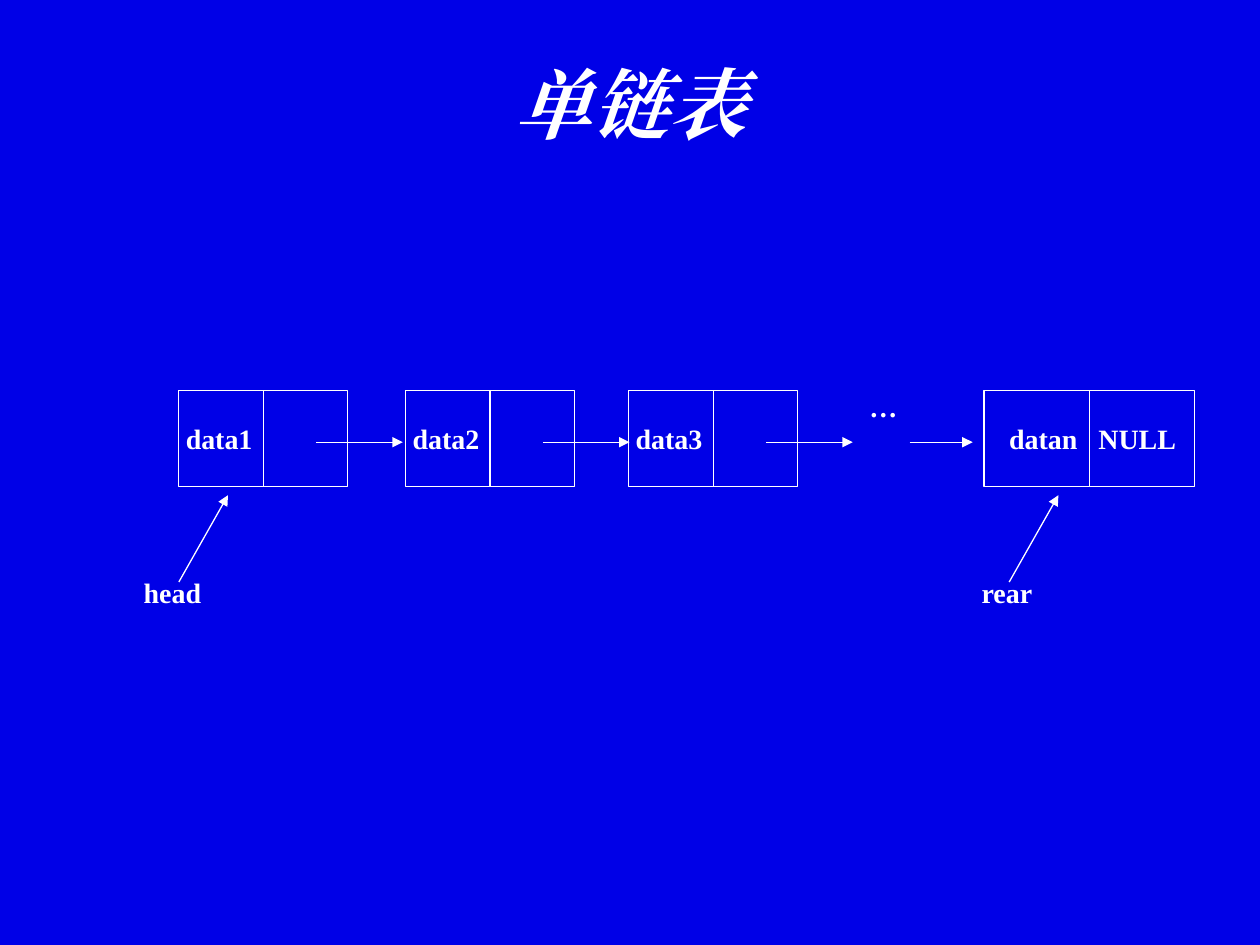
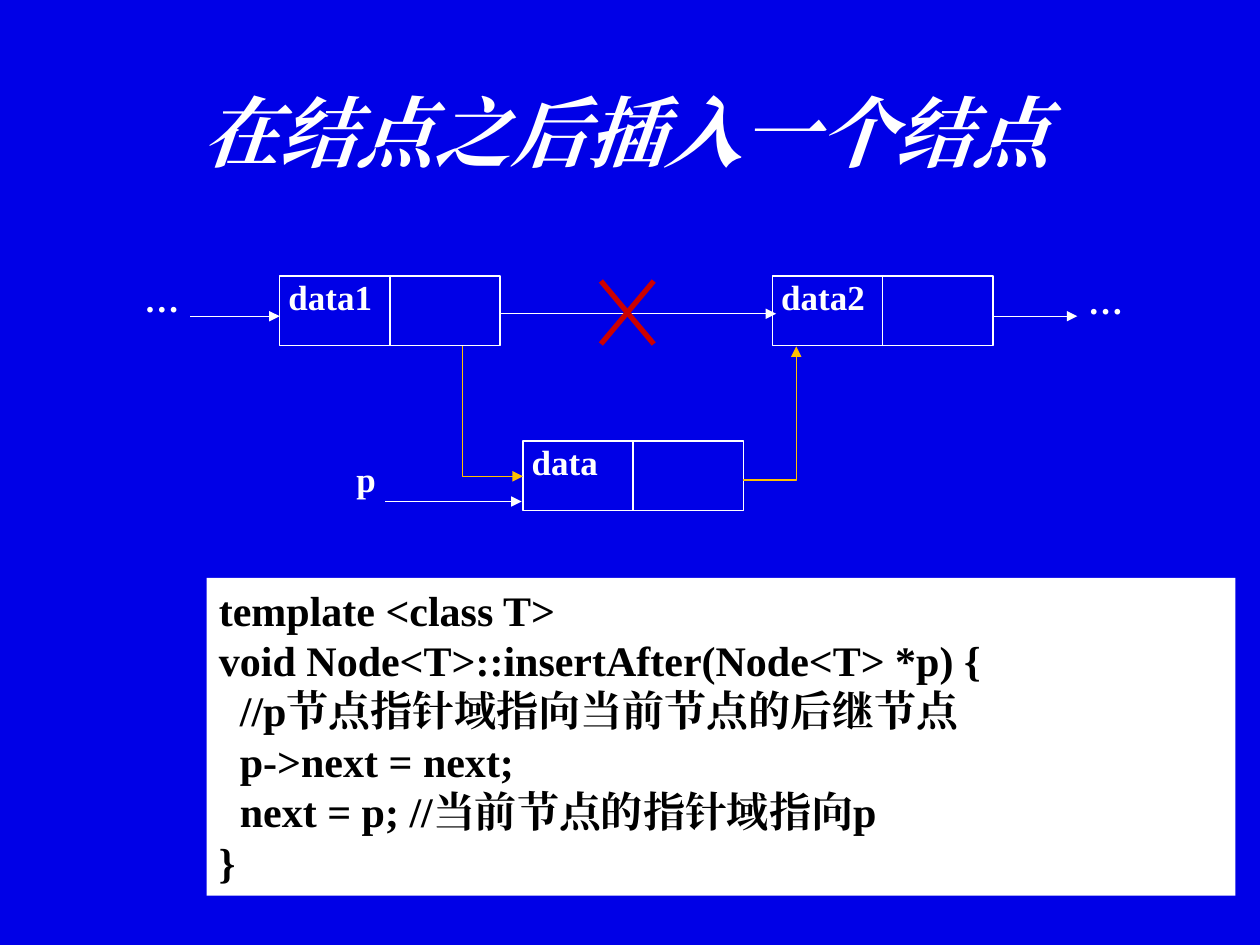
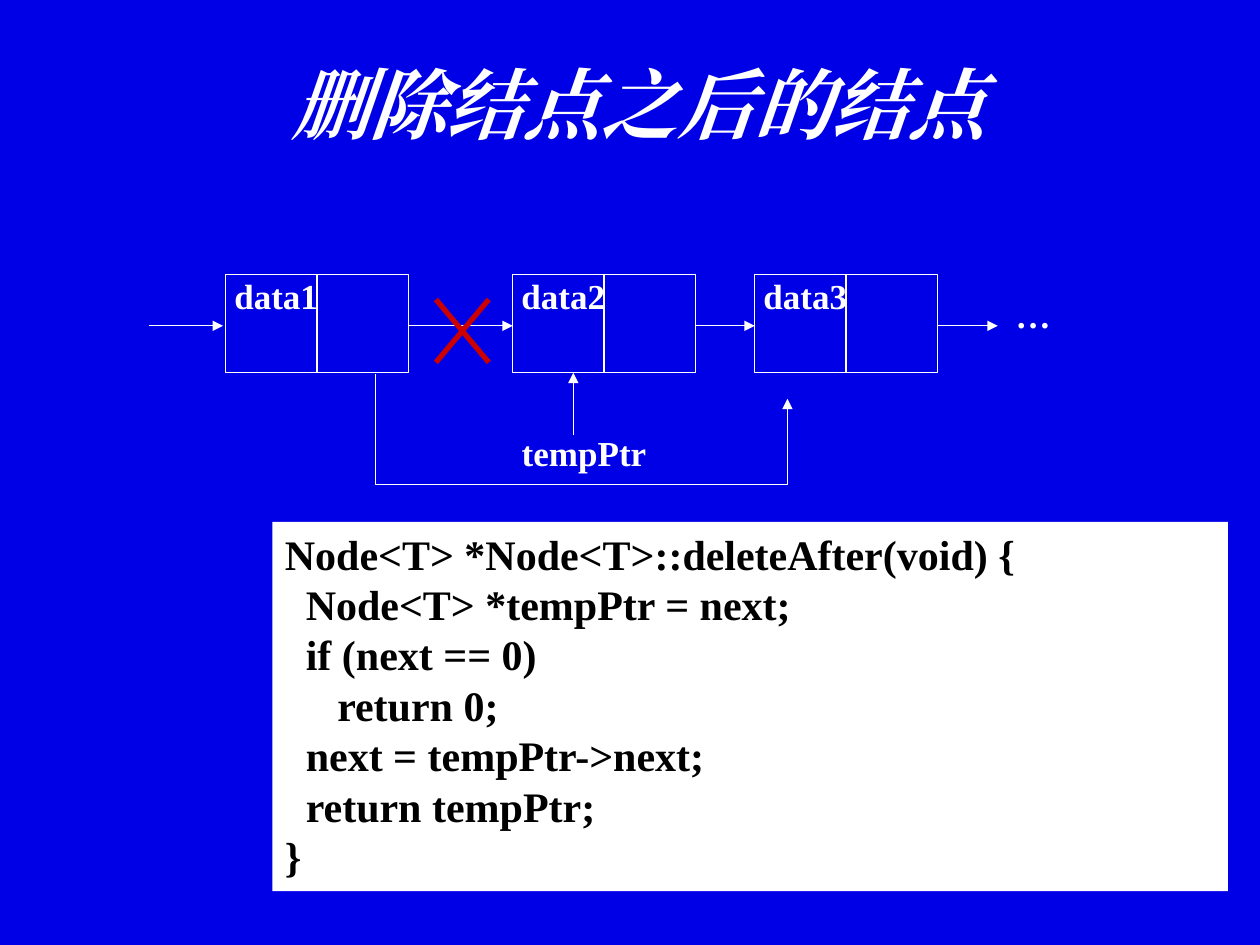
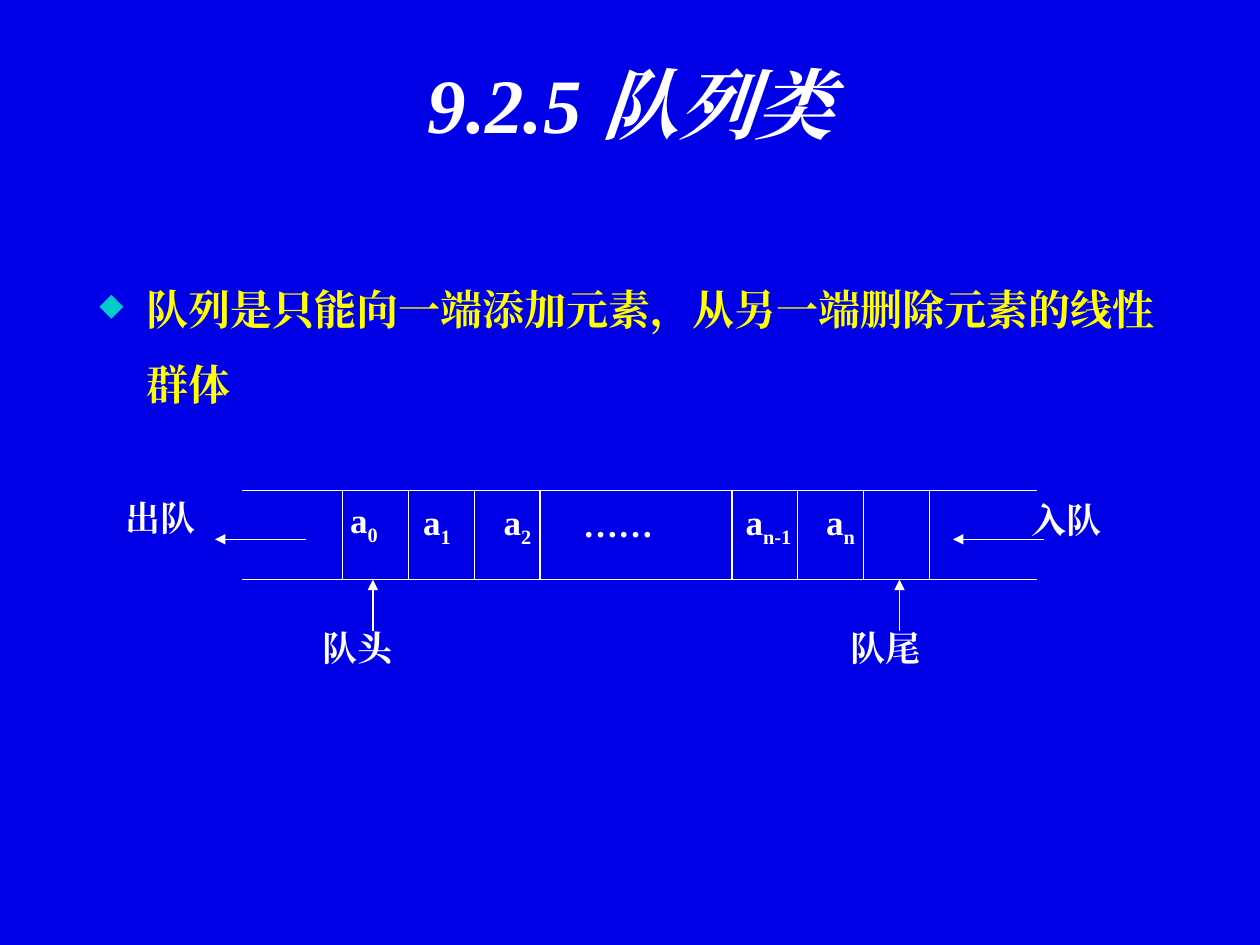
"""Builds four slides on linked lists and queues."""
import dataclasses

import lxml.etree
import pptx
import pptx.dml.color
import pptx.enum.shapes
import pptx.enum.text
import pptx.oxml.ns
import pptx.util

Pt = pptx.util.Pt
ALIGN = pptx.enum.text.PP_ALIGN
ANCHOR = pptx.enum.text.MSO_ANCHOR
QN = pptx.oxml.ns.qn


@dataclasses.dataclass(frozen=True)
class Theme:
    """Colours, typeface, type sizes and line widths of the deck."""
    background: str = "0000E7"
    ink: str = "FFFFFF"
    code_ink: str = "000000"
    body_ink: str = "FFFF00"
    bullet: str = "00CCCC"
    new_link: str = "FFC000"
    cross: str = "CC0000"
    font: str = "Times New Roman"
    title_size: float = 44
    body_size: float = 24
    label_size: float = 20
    small_size: float = 16
    thin: float = 0.75
    thick: float = 3
    subscript: int = -25000


THEME = Theme()


@dataclasses.dataclass(frozen=True)
class Box:
    """A region in points."""
    left: float
    top: float
    width: float
    height: float

    def inside(self, left, top, width, height):
        """Return a box placed from this box's top left corner."""
        return Box(self.left + left, self.top + top, width, height)

    def point(self, x, y):
        """Return a slide position for a point within this box."""
        return Pt(self.left + x), Pt(self.top + y)

    def lengths(self):
        """Return left, top, width and height as slide lengths."""
        return [Pt(value) for value in dataclasses.astuple(self)]


TITLE_BOX = Box(49.7, 28.8, 620.6, 104.4)
NO_INSET = (0, 0, 0, 0)
TEXT_INSET = (7.2, 3.6, 7.2, 3.6)


def colour(value):
    """Return a colour object for a hex value."""
    return pptx.dml.color.RGBColor.from_string(value)


def apply_format(target, values):
    """Set each attribute named in values."""
    for name, value in values.items():
        setattr(target, name, value)


def add_xml(parent, tag, **attributes):
    """Append a drawing element with the attributes given."""
    return lxml.etree.SubElement(parent, QN(tag), attributes)


def write(shape, lines, size=THEME.label_size, ink=THEME.ink, align=ALIGN.LEFT,
          anchor=ANCHOR.TOP, inset=TEXT_INSET, tab=None, italic=False):
    """Fill a shape with lines, each a string or a list of (text, baseline)."""
    frame = shape.text_frame
    sides = ("margin_left", "margin_top", "margin_right", "margin_bottom")
    apply_format(frame, {"word_wrap": True, "vertical_anchor": anchor,
                         **{side: Pt(value) for side, value in zip(sides, inset)}})
    for index, line in enumerate(lines):
        paragraph = frame.paragraphs[0] if index == 0 else frame.add_paragraph()
        paragraph.alignment = align
        if tab:
            stops = add_xml(paragraph._p.get_or_add_pPr(), "a:tabLst")
            add_xml(stops, "a:tab", pos=str(Pt(tab)), algn="l")
        for text, baseline in [(line, 0)] if isinstance(line, str) else line:
            run = paragraph.add_run()
            run.text = text
            apply_format(run.font, {"name": THEME.font, "size": Pt(size),
                                    "bold": True, "italic": italic})
            run.font.color.rgb = colour(ink)
            properties = run._r.get_or_add_rPr()
            add_xml(properties, "a:ea", typeface=THEME.font)
            if baseline:
                properties.set("baseline", str(baseline))


def add_text(slide, box, lines, **formats):
    """Add a text box and return it."""
    shape = slide.shapes.add_textbox(*box.lengths())
    write(shape, lines, **formats)
    return shape


def style_line(shape, ink, width, arrow):
    """Set colour, width and arrowhead of a line."""
    shape.line.color.rgb = colour(ink)
    shape.line.width = Pt(width)
    if arrow:
        add_xml(shape.line._get_or_add_ln(), "a:tailEnd", type="triangle")


def add_line(slide, box, start, end, ink=THEME.ink, width=THEME.thin, arrow=False):
    """Add a straight line between two points of the box."""
    line = slide.shapes.add_connector(
        pptx.enum.shapes.MSO_CONNECTOR.STRAIGHT, *box.point(*start), *box.point(*end))
    style_line(line, ink, width, arrow)
    add_xml(line._element.spPr, "a:effectLst")


def add_arrow(slide, box, start, end):
    """Add a straight arrow between two points of the box."""
    add_line(slide, box, start, end, arrow=True)


def add_elbow(slide, box, points, ink=THEME.ink):
    """Add a bent arrow through points of the box."""
    first, *others = [box.point(*point) for point in points]
    builder = slide.shapes.build_freeform(*first)
    builder.add_line_segments(others, close=False)
    shape = builder.convert_to_shape()
    shape.shadow.inherit = False
    shape.fill.background()
    style_line(shape, ink, THEME.thin, True)


def add_rectangle(slide, box):
    """Add a rectangle without a shadow and return it."""
    shape = slide.shapes.add_shape(
        pptx.enum.shapes.MSO_SHAPE.RECTANGLE, *box.lengths())
    shape.shadow.inherit = False
    return shape


def add_node(slide, box, label, indent=5, **formats):
    """Add a list node split into a data field and a pointer field."""
    shape = add_rectangle(slide, box)
    shape.fill.background()
    style_line(shape, THEME.ink, THEME.thin, False)
    write(shape, [label], inset=(indent, 0, 0, 0), **formats)
    middle = box.width / 2
    add_line(slide, box, (middle, 0), (middle, box.height))


def add_cross(slide, box):
    """Add a cross that marks a broken link."""
    for start, end in ((box.width, 0), (0, box.width)):
        add_line(slide, box, (start, 0), (end, box.height), THEME.cross, THEME.thick)


def add_title(slide, text, box=TITLE_BOX, shift=0):
    """Add the slide title, pushed right by the extra left inset."""
    add_text(slide, box, [text], size=THEME.title_size, align=ALIGN.CENTER,
             italic=True, inset=(7.2 + shift, 3.6, 7.2, 3.6))


def add_code(slide, box, lines):
    """Add a white panel of code."""
    panel = add_rectangle(slide, box)
    panel.fill.solid()
    panel.fill.fore_color.rgb = colour(THEME.ink)
    panel.line.fill.background()
    write(panel, lines, size=THEME.body_size, ink=THEME.code_ink)


def add_bullet(slide, box, text):
    """Add a paragraph with a diamond bullet and wide line spacing."""
    shape = add_text(slide, box, [text], size=THEME.body_size, ink=THEME.body_ink)
    paragraph = shape.text_frame.paragraphs[0]
    properties = paragraph._p.get_or_add_pPr()
    properties.set("marL", str(Pt(27)))
    properties.set("indent", str(Pt(-27)))
    add_xml(add_xml(properties, "a:buClr"), "a:srgbClr", val=THEME.bullet)
    add_xml(properties, "a:buSzPct", val="75000")
    add_xml(properties, "a:buChar", char="◆")
    paragraph.line_spacing = 1.5


def draw_list(slide, box):
    """Draw a chain of nodes with its head and rear pointers."""
    small = {"size": THEME.small_size}
    middle = {"anchor": ANCHOR.MIDDLE, **small}
    link = 29.5
    for number, left in enumerate((0, 129.6, 257.1), 1):
        node = box.inside(left, 0, 96.5, box.height)
        add_node(slide, node, f"data{number}", 4, **middle)
        add_arrow(slide, node, (78.5, link), (128, link))
    last = box.inside(460.1, 0, 120.3, box.height)
    add_node(slide, last, "datan\tNULL", 14.4, tab=51, **middle)
    add_text(slide, box.inside(375.9, -4.3, 53.3, 59), ["…"],
             align=ALIGN.CENTER, **small)
    add_arrow(slide, box, (417.6, link), (453.6, link))
    for label, left, foot in (("head", -20.1, 0), ("rear", 458.7, 474.5)):
        add_text(slide, box.inside(left, 105.8, 63.4, 43.2), [label],
                 inset=NO_INSET, **small)
        add_arrow(slide, box, (foot, 109.4), (foot + 28.1, 59.8))


def draw_insertion(slide, box):
    """Draw a new node being linked in between two nodes."""
    for label, left, top in (("data1", 0, 0), ("data2", 281.6, 0), ("data", 139, 94.3)):
        add_node(slide, box.inside(left, top, 126, 39.8), label)
    for start, end, height in ((126, 283.7, 21.6), (407.6, 455.8, 23),
                               (-51.1, 0, 23), (60.5, 138.3, 128.9)):
        add_arrow(slide, box, (start, height), (end, height))
    add_text(slide, box.inside(437.1, -1.5, 69.8, 43.2), ["…"], align=ALIGN.CENTER)
    add_text(slide, box.inside(-91.4, 0.7, 48.2, 31), ["…"],
             align=ALIGN.CENTER, inset=NO_INSET)
    add_text(slide, box.inside(28.8, 103.7, 82.8, 31.7), ["p"], inset=(15, 0, 0, 0))
    for points in (((265, 116.6), (295.2, 116.6), (295.2, 40.3)),
                   ((104.4, 40.3), (104.4, 114.5), (139, 114.5))):
        add_elbow(slide, box, points, THEME.new_link)
    add_cross(slide, box.inside(183.6, 2.9, 30.2, 36))


def draw_deletion(slide, box):
    """Draw the middle node of three being bypassed."""
    width, link = 104.4, 29.5
    lefts = (0, 164.1, 302.4)
    for number, left in enumerate(lefts, 1):
        add_node(slide, box.inside(left, 0, width, box.height), f"data{number}")
    for left, end in zip(lefts, (*lefts[1:], 441.3)):
        add_arrow(slide, box, (left + width, link), (end, link))
    add_arrow(slide, box, (-43.9, link), (-1.4, link))
    add_text(slide, box.inside(432.7, 7.2, 57.6, 61.2), ["…"], align=ALIGN.CENTER)
    add_elbow(slide, box, ((85.7, 56.9), (85.7, 120.2), (321.1, 120.2), (321.1, 71.2)))
    add_cross(slide, box.inside(120.2, 14.4, 30.2, 36))
    add_text(slide, box.inside(156.2, 86.4, 97.2, 31.7), ["tempPtr"],
             align=ALIGN.CENTER)
    add_arrow(slide, box, (198.7, 92.1), (198.7, box.height))


def draw_queue(slide, box):
    """Draw an open queue with its cells, ends and pointers."""
    low = THEME.subscript
    for height in (0, box.height):
        add_line(slide, box, (0, height), (box.width, height))
    for first in (57.6, 280.1):
        for index in range(4):
            x = first + index * 37.6
            add_line(slide, box, (x, 0), (x, box.height))
    for left, one, two in ((96.5, "1", "2"), (280.8, "n-1", "n")):
        add_text(slide, box.inside(left, 2.2, 110, 46),
                 [[("a", 0), (one, low), ("\ta", 0), (two, low)]], tab=46)
    add_text(slide, box.inside(61.9, 5, 31.7, 44.6), [[("a", 0), ("0", low)]],
             inset=NO_INSET)
    for label, left, top in (("……", 187.9, 3.6), ("队头", 38.9, 74.2),
                             ("队尾", 340.6, 74.2), ("入队", 444.2, 1.4),
                             ("出队", -73.4, 0)):
        add_text(slide, box.inside(left, top, 72.7, 46), [label])
    for x in (74.9, 375.8):
        add_arrow(slide, box, (x, 80.6), (x, box.height))
    for start in (36.9, 458.6):
        add_arrow(slide, box, (start, 28.1), (start - 52.2, 28.1))


def add_slide(presentation):
    """Add a blank slide with the shared background."""
    slide = presentation.slides.add_slide(presentation.slide_layouts[6])
    slide.background.fill.solid()
    slide.background.fill.fore_color.rgb = colour(THEME.background)
    return slide


def build_list_slide(slide):
    """Build the singly linked list slide."""
    add_title(slide, "单链表")
    draw_list(slide, Box(102.2, 223.2, 580.4, 54.7))


def build_insertion_slide(slide):
    """Build the slide on inserting after a node."""
    add_title(slide, "在结点之后插入一个结点", Box(33.8, 44.6, 648, 84.2))
    draw_insertion(slide, Box(159.8, 157.7, 407.6, 134.1))
    add_code(slide, Box(118, 330.3, 588, 181.6), [
        "template <class T>",
        "void Node<T>::insertAfter(Node<T> *p) {",
        "  //p节点指针域指向当前节点的后继节点",
        "  p->next = next;",
        "  next = p; //当前节点的指针域指向p",
        "}",
    ])


def build_deletion_slide(slide):
    """Build the slide on deleting the node after a node."""
    add_title(slide, "删除结点之后的结点", shift=11)
    draw_deletion(slide, Box(128.9, 156.7, 406.8, 56.3))
    add_code(slide, Box(155.7, 298.2, 546, 211), [
        "Node<T> *Node<T>::deleteAfter(void) {",
        "  Node<T> *tempPtr = next;",
        "  if (next == 0)",
        "     return 0;",
        "  next = tempPtr->next;",
        "  return tempPtr;",
        "}",
    ])


def build_queue_slide(slide):
    """Build the queue class slide."""
    add_title(slide, "9.2.5 队列类")
    add_bullet(slide, Box(49.7, 144, 620.6, 342.7),
               "队列是只能向一端添加元素，从另一端删除元素的线性群体")
    draw_queue(slide, Box(138.2, 280.1, 454.2, 51.1))


def main():
    """Build and save the presentation."""
    presentation = pptx.Presentation()
    apply_format(presentation, {"slide_width": Pt(720), "slide_height": Pt(540)})
    for build in (build_list_slide, build_insertion_slide,
                  build_deletion_slide, build_queue_slide):
        build(add_slide(presentation))
    presentation.save("out.pptx")


if __name__ == "__main__":
    main()
